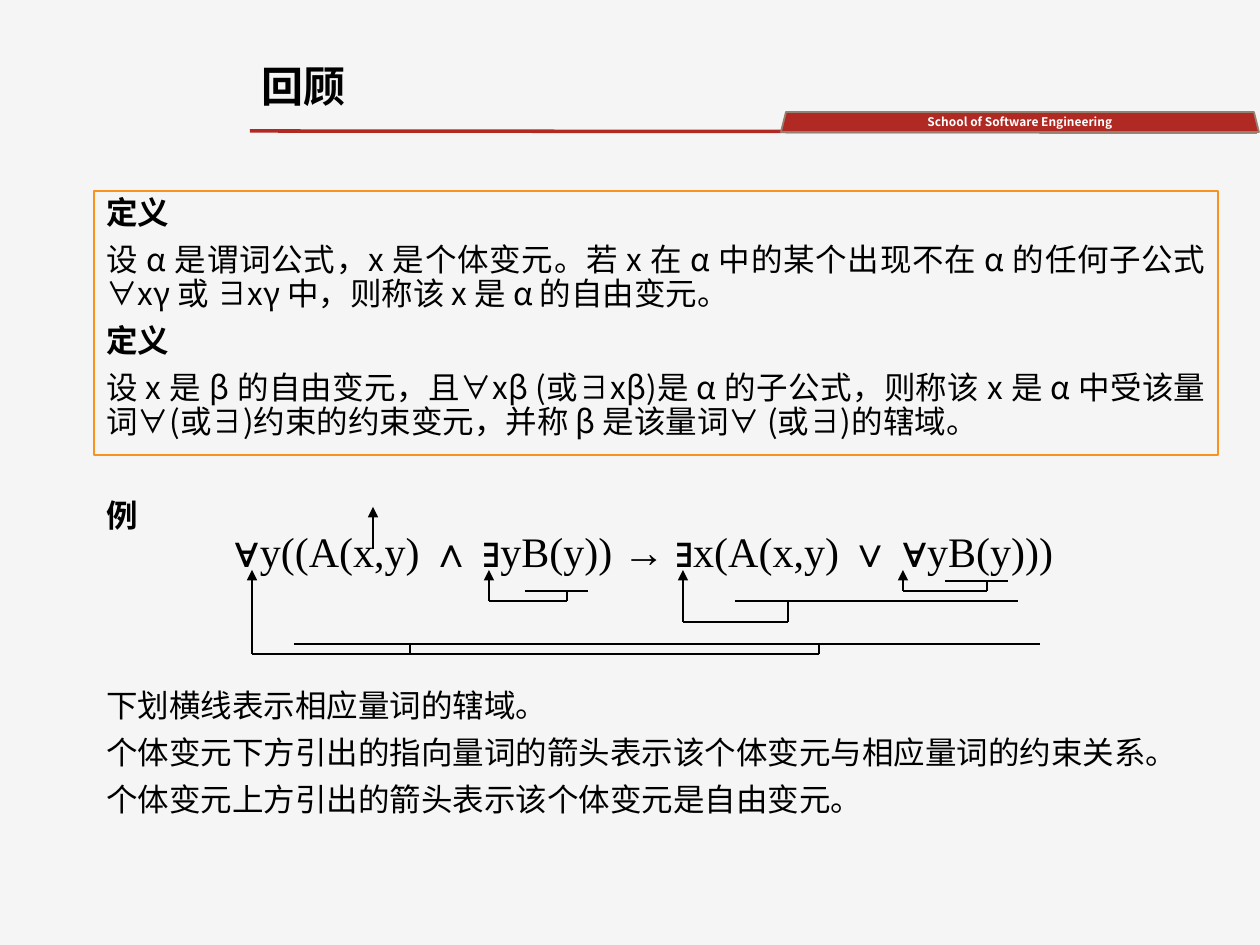
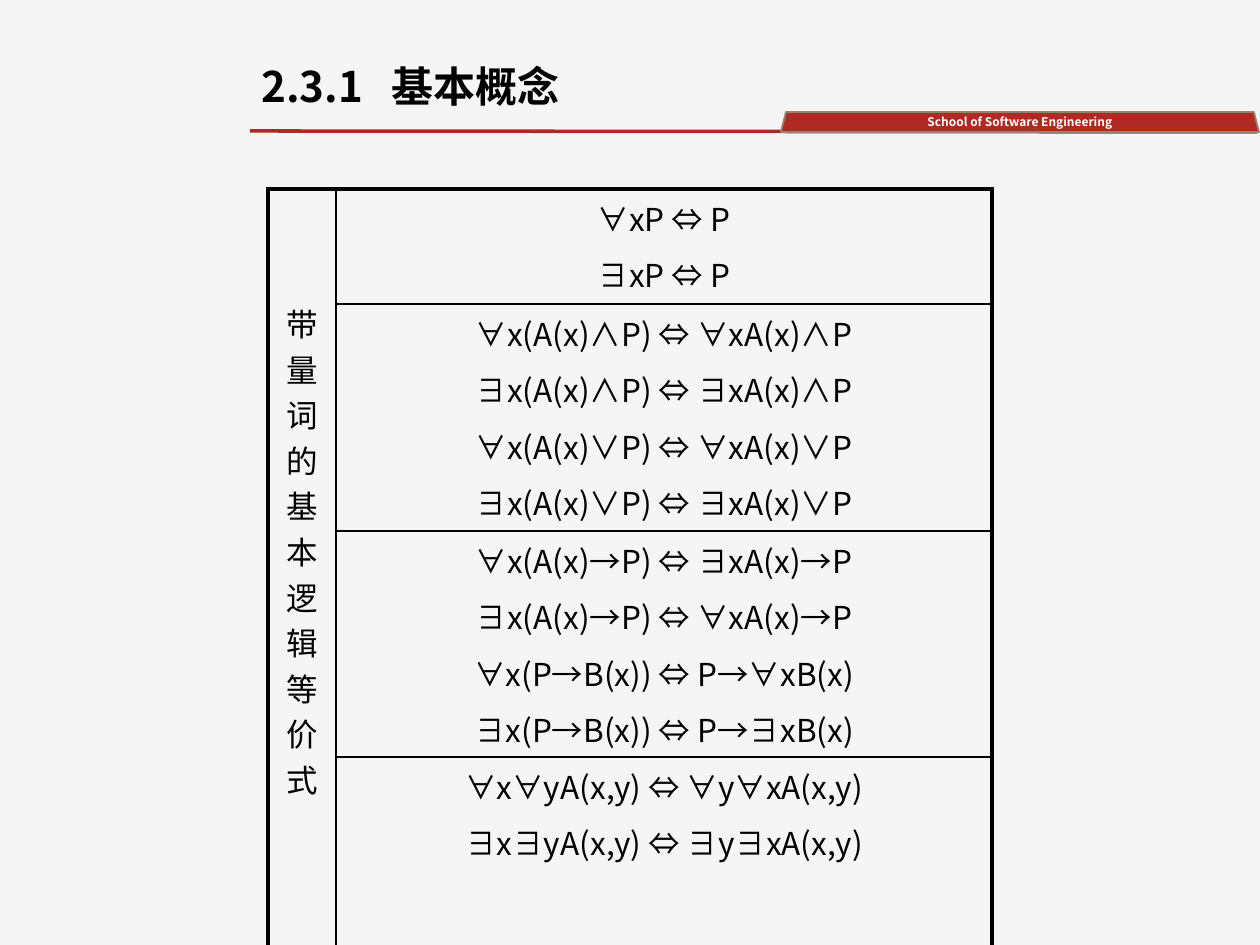
from lxml import etree
from pptx import Presentation
from pptx import util as u
from pptx.dml.color import RGBColor
from pptx.enum import shapes, text
from pptx.oxml import ns

PX = 914400 / 126
PAPER = RGBColor(0xF5, 0xF5, 0xF5)
RED = RGBColor(0xB1, 0x29, 0x23)
TAUPE = RGBColor(0x96, 0x80, 0x71)
ORANGE = RGBColor(0xF8, 0x93, 0x1D)
BLACK = RGBColor(0, 0, 0)
WHITE = RGBColor(0xFF, 0xFF, 0xFF)
SANS = "Noto Sans CJK SC"
SERIF = "Times New Roman"
LEFT, CENTER, JUSTIFY = (text.PP_ALIGN.LEFT, text.PP_ALIGN.CENTER,
                         text.PP_ALIGN.JUSTIFY)

HEADING = dict(size=24, bold=True, spacing=0.9)
BODY = dict(size=18, spacing=0.9, before=7.5, align=JUSTIFY)
EQUIVALENCE = dict(size=18, before=6, align=CENTER)

DEFINITIONS = [
    "定义",
    "设 α 是谓词公式，x 是个体变元。若 x 在 α 中的某个出现不在 α 的任何子公式 ∀xγ 或 ∃xγ 中，则称该 x 是 α 的自由变元。",
    "定义",
    "设 x 是 β 的自由变元，且∀xβ (或∃xβ)是 α 的子公式，则称该 x 是 α 中受该量词∀(或∃)约束的约束变元，并称 β 是该量词∀ (或∃)的辖域。",
]
REMARKS = [
    "下划横线表示相应量词的辖域。",
    "个体变元下方引出的指向量词的箭头表示该个体变元与相应量词的约束关系。",
    "个体变元上方引出的箭头表示该个体变元是自由变元。",
]
FORMULA = "∀y((A(x,y) ∧ ∃yB(y)) → ∃x(A(x,y) ∨ ∀yB(y)))"
QUANTIFIER_FOOT = 570
SCOPES = [
    (945, 1008, 581, [987], 591, 903),
    (735, 1018, 601, [788], 622, 683),
    (525, 588, 591, [567], 601, 489),
    (294, 1040, 644, [819, 410], 654, 252),
]
EQUIVALENCES = [
    ["∀xP ⇔ P", "∃xP ⇔ P"],
    ["∀x(A(x)∧P) ⇔ ∀xA(x)∧P", "∃x(A(x)∧P) ⇔ ∃xA(x)∧P",
     "∀x(A(x)∨P) ⇔ ∀xA(x)∨P", "∃x(A(x)∨P) ⇔ ∃xA(x)∨P"],
    ["∀x(A(x)→P) ⇔ ∃xA(x)→P", "∃x(A(x)→P) ⇔ ∀xA(x)→P",
     "∀x(P→B(x)) ⇔ P→∀xB(x)", "∃x(P→B(x)) ⇔ P→∃xB(x)"],
    ["∀x∀yA(x,y) ⇔ ∀y∀xA(x,y)", "∃x∃yA(x,y) ⇔ ∃y∃xA(x,y)"],
]
ROW_HEIGHTS = [115, 227, 226, 192]
COLUMN_WIDTHS = [68, 656]


def px(*lengths):
    return [u.Emu(round(length * PX)) for length in lengths]


def write(frame, lines, size=18, color=BLACK, font=SANS, bold=False,
          bold_lines=(), align=LEFT, spacing=1.0, before=0, tab=None):
    frame.word_wrap = True
    for index, line in enumerate(lines):
        para = frame.paragraphs[0] if index == 0 else frame.add_paragraph()
        para.alignment = align
        para.line_spacing = spacing
        para.space_before = u.Pt(before if index else 0)
        if tab:
            stops = etree.SubElement(para._p.get_or_add_pPr(), ns.qn("a:tabLst"))
            etree.SubElement(stops, ns.qn("a:tab"), pos=str(px(tab)[0]), algn="l")
        span = para.add_run()
        span.text = line
        span.font.size = u.Pt(size)
        span.font.bold = bold or index in bold_lines
        span.font.color.rgb = color
        span.font.name = font
        etree.SubElement(span._r.get_or_add_rPr(), ns.qn("a:ea"), typeface=font)


class Lesson:
    def __init__(self):
        self.deck = Presentation()
        self.deck.slide_width, self.deck.slide_height = px(1260, 945)
        self.page = None

    def open_page(self, title, tab=None):
        self.page = self.deck.slides.add_slide(self.deck.slide_layouts[6])
        self.page.background.fill.solid()
        self.page.background.fill.fore_color.rgb = PAPER
        self.line(250, 131, 1257, 132, color=RED, width=2)
        band = self.shape(shapes.MSO_SHAPE.TRAPEZOID, 781, 112, 478, 20,
                          line=TAUPE, width=1, fill=RED)
        band.text_frame.vertical_anchor = text.MSO_ANCHOR.MIDDLE
        band.text_frame.margin_top = band.text_frame.margin_bottom = 0
        write(band.text_frame, ["School of Software Engineering"],
              size=6.8, color=WHITE, bold=True, align=CENTER)
        self.text(249, 60, 573, 71, [title], tab=tab, **HEADING)

    def shape(self, kind, x, y, width_px, height_px, line, width, fill=None):
        shape = self.page.shapes.add_shape(kind, *px(x, y, width_px, height_px))
        shape.shadow.inherit = False
        shape.line.color.rgb = line
        shape.line.width = u.Pt(width)
        if fill is None:
            shape.fill.background()
        else:
            shape.fill.solid()
            shape.fill.fore_color.rgb = fill
        return shape

    def text(self, x, y, width, height, lines, **style):
        box = self.page.shapes.add_textbox(*px(x, y, width, height))
        write(box.text_frame, lines, **style)

    def framed_text(self, x, y, width, height, lines, **style):
        box = self.shape(shapes.MSO_SHAPE.RECTANGLE, x, y, width, height,
                         line=ORANGE, width=1.5)
        box.text_frame.vertical_anchor = text.MSO_ANCHOR.TOP
        write(box.text_frame, lines, **style)

    def line(self, x1, y1, x2, y2, color=BLACK, width=0.75, arrow=False):
        line = self.page.shapes.add_connector(
            shapes.MSO_CONNECTOR.STRAIGHT, *px(x1, y1, x2, y2))
        line.line.color.rgb = color
        line.line.width = u.Pt(width)
        if arrow:
            etree.SubElement(line.line._get_or_add_ln(), ns.qn("a:tailEnd"),
                             type="triangle")
        etree.SubElement(line._element.spPr, ns.qn("a:effectLst"))

    def scope(self, start, end, y, stems, base, quantifier):
        self.line(start, y, end, y)
        for stem in stems:
            self.line(stem, y, stem, base)
        self.line(quantifier, base, max(stems), base)
        self.line(quantifier, base, quantifier, QUANTIFIER_FOOT, arrow=True)

    def table(self, x, y, widths, heights):
        frame = self.page.shapes.add_table(
            len(heights), len(widths), *px(x, y, sum(widths), sum(heights)))
        table = frame.table
        table.first_row = table.horz_banding = False
        for column, width in zip(table.columns, px(*widths)):
            column.width = width
        for row, height in zip(table.rows, px(*heights)):
            row.height = height
        last_row, last_column = len(heights) - 1, len(widths) - 1
        for r in range(len(heights)):
            for c in range(len(widths)):
                cell = table.cell(r, c)
                cell.fill.background()
                outer = {"L": c == 0, "R": c == last_column,
                         "T": r == 0, "B": r == last_row}
                self.borders(cell, outer)
        return table

    def borders(self, cell, outer):
        properties = cell._tc.get_or_add_tcPr()
        for place, (side, is_outer) in enumerate(outer.items()):
            edge = etree.Element(ns.qn("a:ln" + side),
                                 w=str(u.Pt(2.25 if is_outer else 1)))
            fill = etree.SubElement(edge, ns.qn("a:solidFill"))
            etree.SubElement(fill, ns.qn("a:srgbClr"), val=str(BLACK))
            properties.insert(place, edge)


def review_page(lesson):
    lesson.open_page("回顾")
    lesson.framed_text(94, 191, 1124, 264, DEFINITIONS, bold_lines=(0, 2), **BODY)
    lesson.text(94, 494, 120, 50, ["例"], bold=True, **BODY)
    lesson.text(94, 684, 1124, 150, REMARKS, **BODY)
    for scope in SCOPES:
        lesson.scope(*scope)
    lesson.line(373, 549, 373, 507, arrow=True)
    lesson.text(140, 519, 1008, 62, [FORMULA], size=24, font=SERIF, align=CENTER)


def equivalence_page(lesson):
    lesson.open_page("2.3.1\t基本概念", tab=130)
    table = lesson.table(268, 189, COLUMN_WIDTHS, ROW_HEIGHTS)
    label = table.cell(0, 0)
    label.merge(table.cell(len(ROW_HEIGHTS) - 1, 0))
    label.margin_top = px(111)[0]
    write(label.text_frame, ["带量词的基本逻辑等价式"], align=CENTER)
    for row, formulas in enumerate(EQUIVALENCES):
        write(table.cell(row, 1).text_frame, formulas, **EQUIVALENCE)


def main():
    lesson = Lesson()
    review_page(lesson)
    equivalence_page(lesson)
    lesson.deck.save("out.pptx")


if __name__ == "__main__":
    main()
